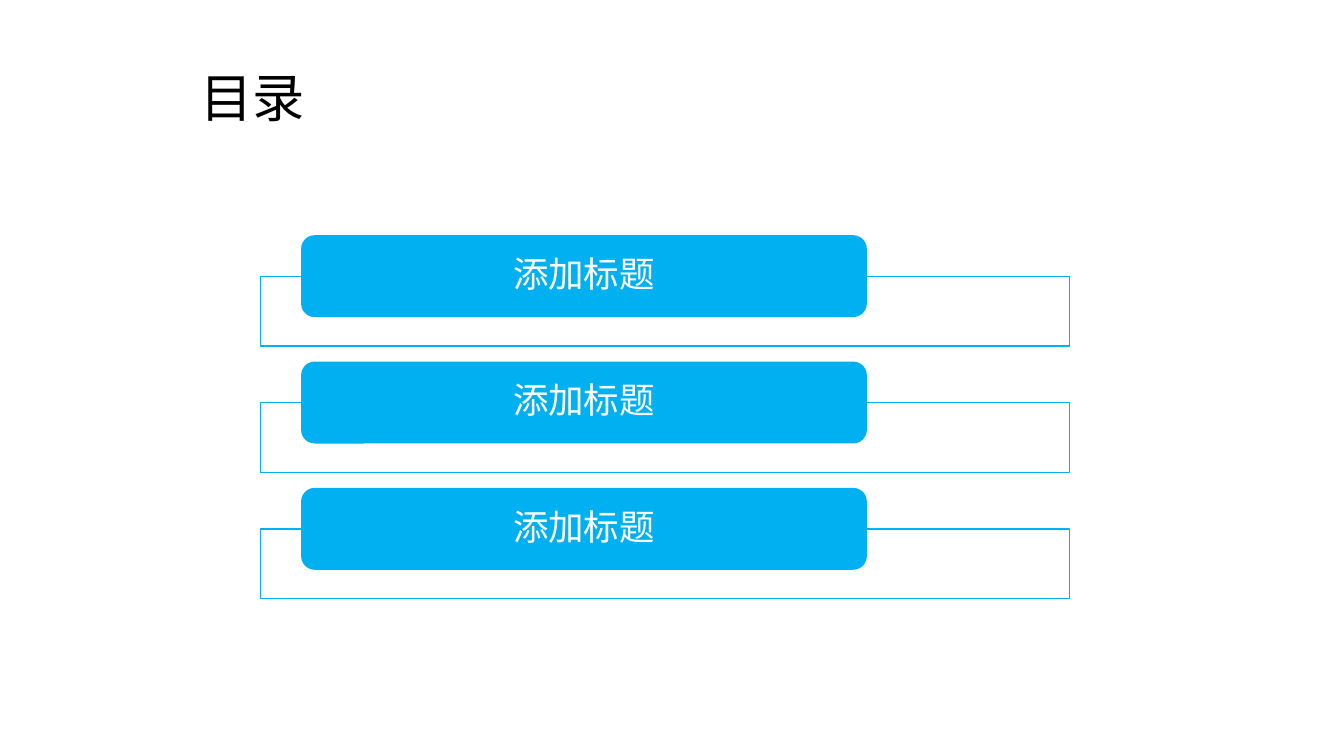
from lxml.etree import SubElement
from pptx import Presentation
from pptx.dml.color import RGBColor
from pptx.enum.shapes import MSO_SHAPE as Shape
from pptx.enum.text import MSO_ANCHOR as Anchor, MSO_AUTO_SIZE as Fit, PP_ALIGN as Align
from pptx.oxml.ns import qn
from pptx.util import Inches, Pt

TITLE = "目录"
ITEMS = ["添加标题", "添加标题", "添加标题"]

FONT = "Noto Sans CJK SC"
BLUE = RGBColor(0x00, 0xB0, 0xF0)
WHITE = RGBColor(0xFF, 0xFF, 0xFF)
BLACK = RGBColor(0x00, 0x00, 0x00)

TOP, STEP = 1.75, 0.94
BAR_H, FRAME_H = 0.61, 0.52


def add_run(para, text, size, color):
    run = para.add_run()
    run.text = text
    font = run.font
    font.name, font.size = FONT, Pt(size)
    font.color.rgb = color
    SubElement(font._element, qn("a:ea")).set("typeface", FONT)


def add_box(slide, kind, left, top, width, height):
    box = slide.shapes.add_shape(
        kind, Inches(left), Inches(top), Inches(width), Inches(height))
    box.shadow.inherit = False
    return box


def add_item(slide, text, top):
    """Draw an outlined frame with a labelled bar centred on its top edge."""
    frame = add_box(slide, Shape.RECTANGLE, 1.94, top + BAR_H / 2, 6.02, FRAME_H)
    frame.fill.background()
    frame.line.color.rgb = BLUE
    frame.line.width = Pt(0.75)

    bar = add_box(slide, Shape.ROUNDED_RECTANGLE, 2.24, top, 4.21, BAR_H)
    bar.fill.solid()
    bar.fill.fore_color.rgb = BLUE
    bar.line.fill.background()
    label = bar.text_frame
    label.word_wrap = True
    label.vertical_anchor = Anchor.MIDDLE
    label.margin_left = label.margin_right = Inches(0.16)
    label.margin_top = label.margin_bottom = 0
    para = label.paragraphs[0]
    para.alignment = Align.CENTER
    para.line_spacing = 0.9
    add_run(para, text, 19, WHITE)


def main():
    deck = Presentation()
    deck.slide_width = Inches(10)
    deck.slide_height = deck.slide_width * 9 // 16
    slide = deck.slides.add_slide(deck.slide_layouts[6])

    for row, text in enumerate(ITEMS):
        add_item(slide, text, TOP + row * STEP)

    title = slide.shapes.add_textbox(
        Inches(1.39), Inches(0.44), Inches(0.99), Inches(0.57)).text_frame
    title.word_wrap = False
    title.auto_size = Fit.SHAPE_TO_FIT_TEXT
    add_run(title.paragraphs[0], TITLE, 28, BLACK)

    deck.save("out.pptx")


if __name__ == "__main__":
    main()
